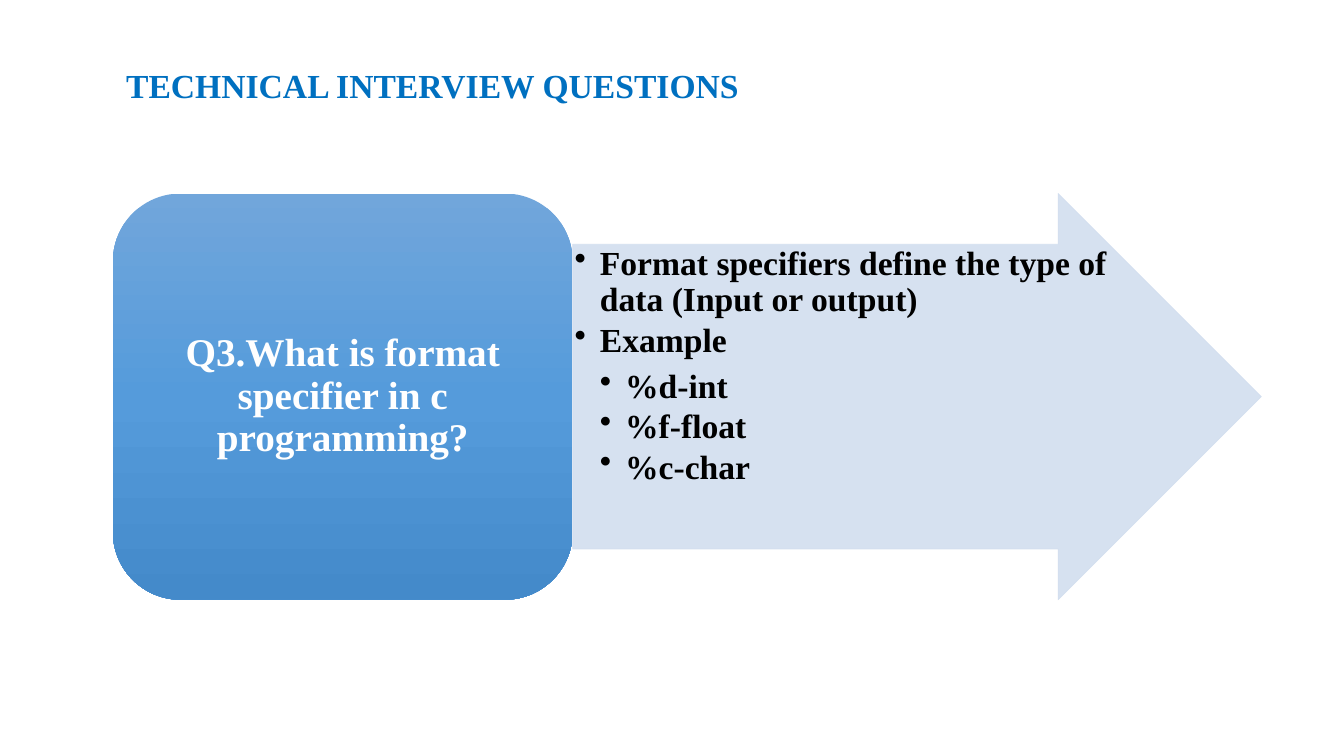
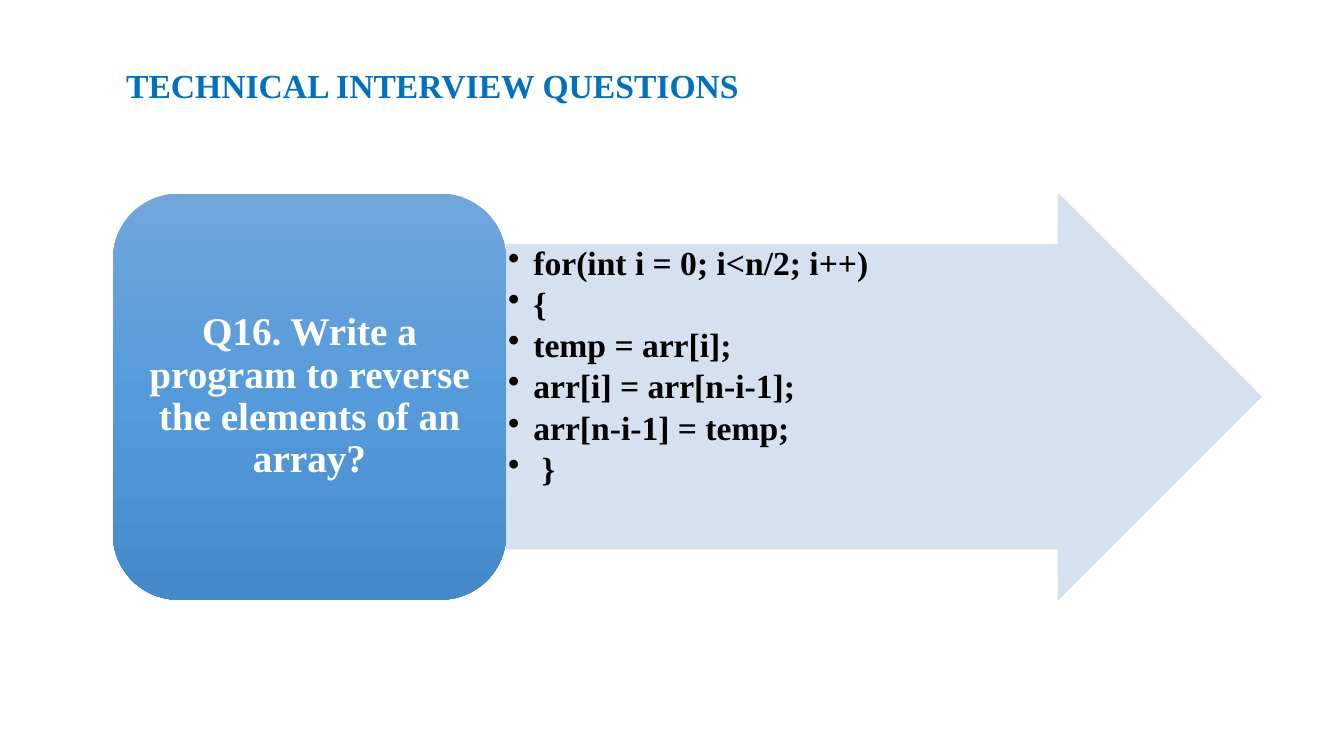
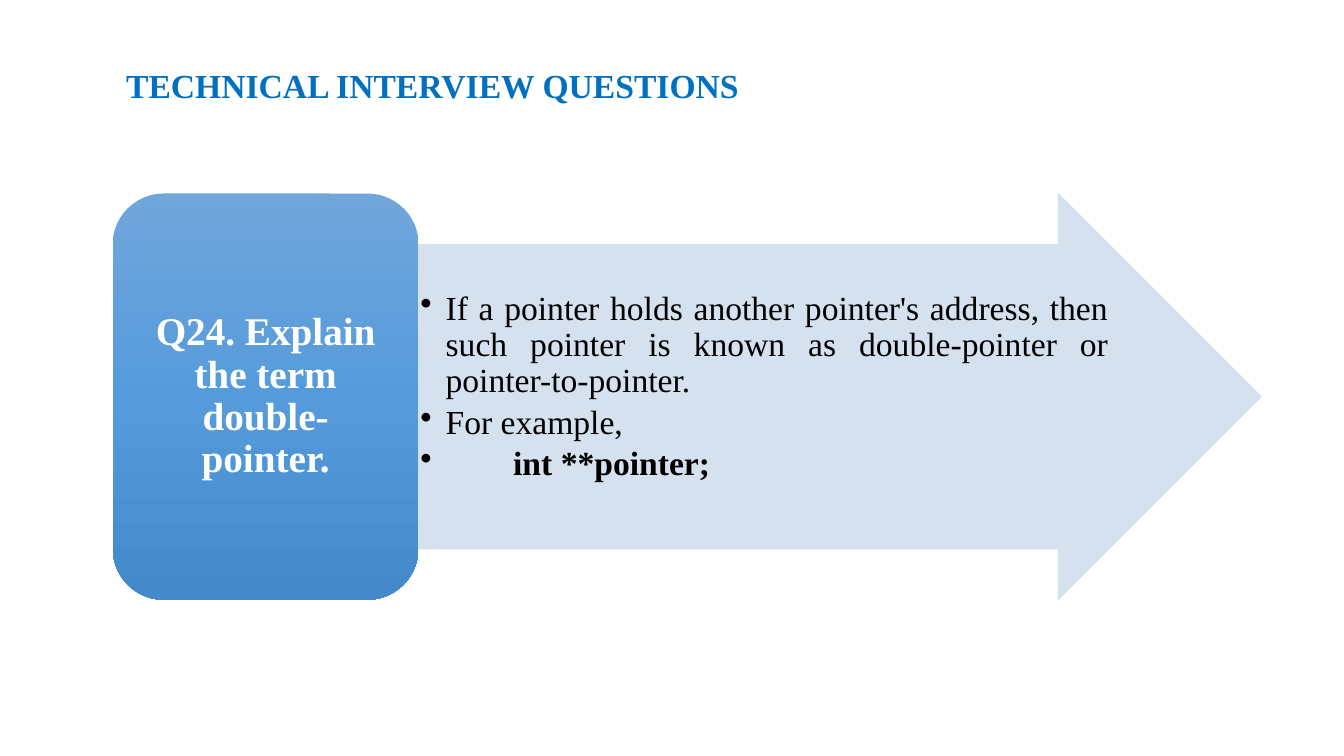
from copy import deepcopy

from pptx import Presentation
from pptx.dml.color import RGBColor as Rgb
from pptx.enum.shapes import MSO_SHAPE as Geom
from pptx.enum.text import MSO_ANCHOR as Anchor, MSO_AUTO_SIZE as Auto, PP_ALIGN as Align
from pptx.oxml.ns import qn
from pptx.oxml.xmlchemy import OxmlElement as Elem
from pptx.util import Pt

PX = 9144
FONT = "Times New Roman"
HUES = {"title": "0070C0", "arrow": "D2DEEF", "ink": "000000", "white": "FFFFFF"}
SHADES = ["71A6DB", "559BDB", "448ACA"]
LEFT, TOP, TALL = 112, 192, 403
TIP, EDGE = 1251, 1101
STEP = 25

CARDS = [
    ("Q3.What is format specifier in c programming?", 456, 2, [
        ("Format specifiers define the type of data (Input or output)", {}),
        ("Example", {}),
        ("%d-int", {"level": 2}),
        ("%f-float", {"level": 2}),
        ("%c-char", {"level": 2}),
    ]),
    ("Q16. Write a program to reverse the elements of an array?", 390, 2, [
        (line, {"align": Align.JUSTIFY}) for line in (
            "for(int i = 0; i<n/2; i++)", "{", "temp = arr[i];",
            "arr[i] = arr[n-i-1];", "arr[n-i-1] = temp;", " }")
    ]),
    ("Q24. Explain the term double-pointer.", 303, 47, [
        ("If a pointer holds another pointer's address, then such pointer is known "
         "as double-pointer or pointer-to-pointer.",
         {"align": Align.JUSTIFY, "bold": False}),
        ("For example,", {"bold": False}),
        ("int **pointer;", {"hang": 92}),
    ]),
]


def px(*sizes):
    """Turn pixels into EMU."""
    return [size * PX for size in sizes]


def inset(frame, side, top, base):
    """Set the margins of a wrapped text frame."""
    frame.word_wrap = True
    frame.margin_left, frame.margin_right = px(side, side)
    frame.margin_top, frame.margin_bottom = px(top, base)


def write(frame, text, size=24, hue="ink", bold=True, align=Align.LEFT,
          space=None, after=None):
    """Add one formatted paragraph and return it."""
    para = frame.paragraphs[0]
    if para.runs:
        para = frame.add_paragraph()
    para.alignment = align
    para.line_spacing = space
    para.space_after = after
    run = para.add_run()
    run.text = text
    run.font.name = FONT
    run.font.size = Pt(size)
    run.font.bold = bold
    run.font.color.rgb = Rgb.from_string(HUES[hue])
    return para


def point(frame, text, level=1, hang=STEP, **style):
    """Add one bulleted paragraph."""
    if level == 1:
        style.update(space=0.9, after=Pt(3.6))
    para = write(frame, text, **style)
    para.level = level
    props = para._p.get_or_add_pPr()
    props.set("marL", str((level - 1) * STEP * PX + hang * PX))
    props.set("indent", str(-hang * PX))
    dot = Elem("a:buChar")
    dot.set("char", "•")
    props.append(dot)


def title(slide):
    """Add the shared heading."""
    frame = slide.shapes.add_textbox(*px(LEFT, 59, 634, 50)).text_frame
    frame.word_wrap = False
    frame.auto_size = Auto.SHAPE_TO_FIT_TEXT
    write(frame, "TECHNICAL INTERVIEW QUESTIONS", hue="title", align=Align.CENTER)


def arrow(slide, left):
    """Add the pale arrow behind the answer."""
    shape = slide.shapes.add_shape(Geom.RIGHT_ARROW, *px(left, TOP, TIP - left, TALL))
    shape.shadow.inherit = False
    shape.adjustments[0], shape.adjustments[1] = 0.75, 0.5
    shape.fill.solid()
    shape.line.width = Pt(0.5)
    for fill in (shape.fill, shape.line.fill):
        fill.solid()
        fill.fore_color.rgb = Rgb.from_string(HUES["arrow"])
    for color in shape._element.spPr.iter(qn("a:srgbClr")):
        alpha = Elem("a:alpha")
        alpha.set("val", "90000")
        color.append(alpha)


def answer(slide, left, pad, points):
    """Add the bulleted answer over the arrow."""
    frame = slide.shapes.add_textbox(*px(left, 242, EDGE - left, 302)).text_frame
    inset(frame, 2, pad, 2)
    for text, style in points:
        point(frame, text, **style)


def ask(slide, text, width):
    """Add the shaded box that holds the question."""
    box = slide.shapes.add_shape(Geom.ROUNDED_RECTANGLE, *px(LEFT, TOP, width, TALL))
    box.shadow.inherit = False
    box.line.fill.background()
    box.fill.gradient()
    box.fill.gradient_angle = 270
    stops = next(box._element.spPr.iter(qn("a:gsLst")))
    stops.insert(1, deepcopy(stops[0]))
    for rank, (stop, shade) in enumerate(zip(box.fill.gradient_stops, SHADES)):
        stop.position = rank / 2
        stop.color.rgb = Rgb.from_string(shade)
        for mod in list(stops[rank][0]):
            stops[rank][0].remove(mod)
    frame = box.text_frame
    inset(frame, 12, 6, 6)
    frame.vertical_anchor = Anchor.MIDDLE
    write(frame, text, size=28, hue="white", align=Align.CENTER, space=0.9)


def main():
    """Build and save the deck."""
    deck = Presentation()
    deck.slide_width, deck.slide_height = px(1333, 750)
    for text, width, pad, points in CARDS:
        slide = deck.slides.add_slide(deck.slide_layouts[6])
        title(slide)
        arrow(slide, LEFT + width)
        answer(slide, LEFT + width, pad, points)
        ask(slide, text, width)
    deck.save("out.pptx")


if __name__ == "__main__":
    main()
